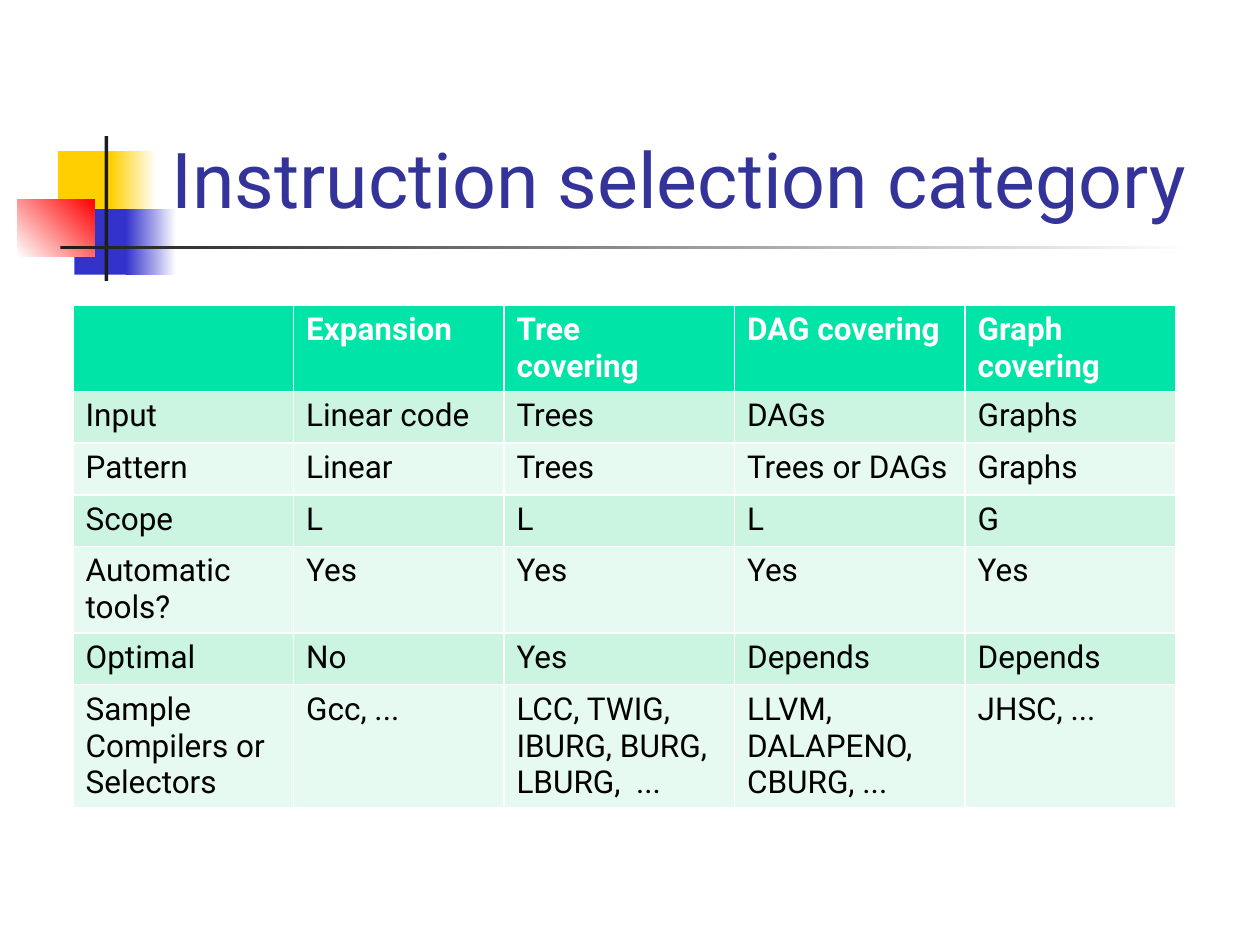
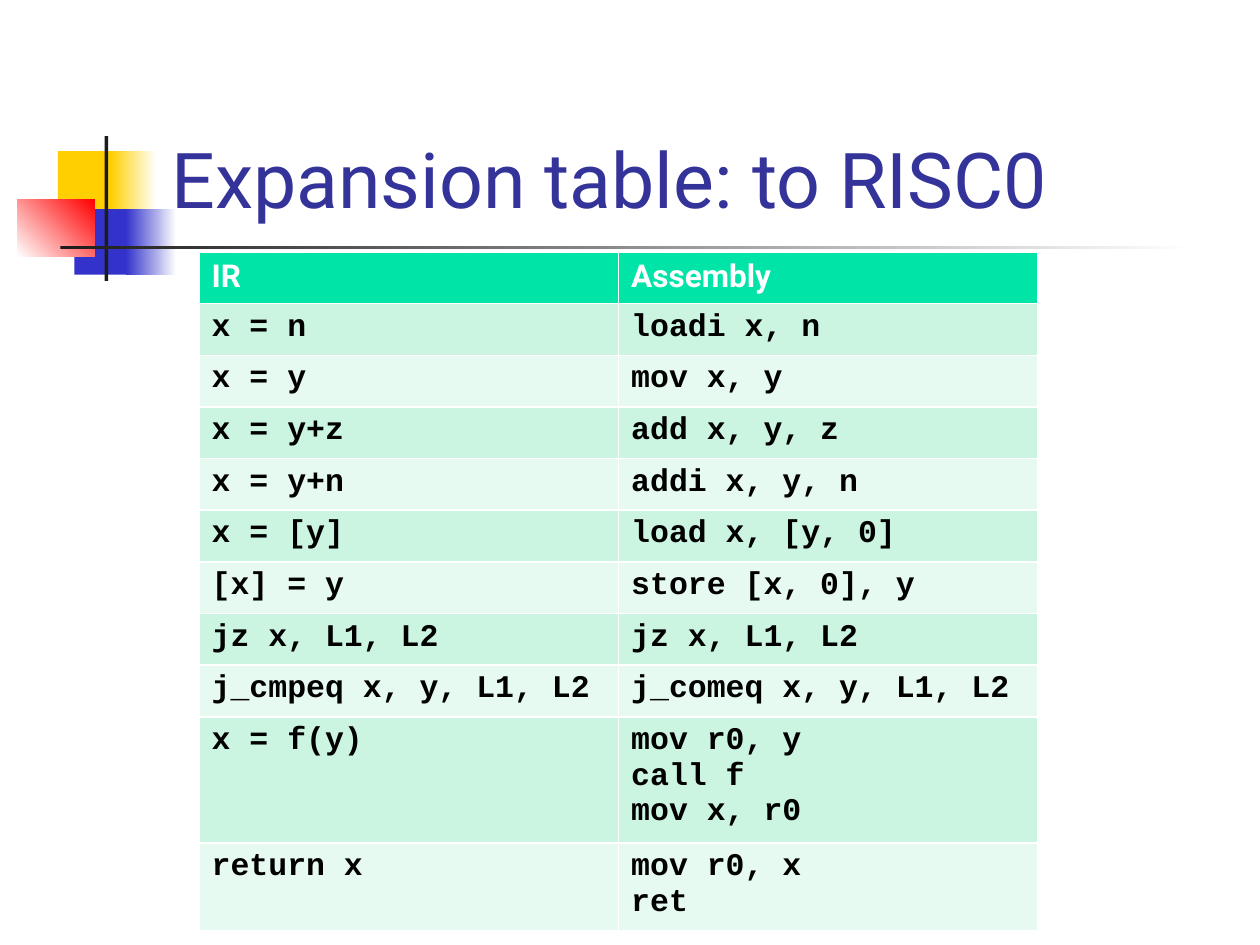
from pptx import Presentation
from pptx.dml.color import RGBColor
from pptx.enum.shapes import MSO_SHAPE as SHAPE
from pptx.enum.text import MSO_ANCHOR as ANCHOR, MSO_AUTO_SIZE as AUTO_SIZE, PP_ALIGN as ALIGN
from pptx.util import Inches, Pt

COLORS = {
    "white": "FFFFFF", "black": "000000", "ink": "1C1C1C", "title": "333399",
    "yellow": "FFCF01", "blue": "3333CC", "red": "FF0000",
    "header": "00E4A8", "odd_row": "CBF5E1", "even_row": "E7FAF1",
}
SANS, MONO = "Roboto", "Courier New"
ROW_HEIGHT = 0.41

# Box, then one colour for a solid or two for a gradient, and the gradient angle
DECORATION = [
    ((0.46, 1.2, 0.48, 0.52), ["yellow"], 0),
    ((0.88, 1.2, 0.36, 0.52), ["yellow", "white"], 0),
    ((0.59, 1.66, 0.46, 0.52), ["blue"], 0),
    ((1, 1.66, 0.4, 0.52), ["blue", "white"], 0),
    ((0.14, 1.58, 0.61, 0.46), ["white", "red"], 45),
    ((0.83, 1.08, 0.03, 1.15), ["ink"], 0),
    ((0.48, 1.95, 9, 0.03), ["ink", "white"], 0),
]

CATEGORIES = [
    ["", "Expansion", "Tree\ncovering", "DAG covering", "Graph covering"],
    ["Input", "Linear code", "Trees", "DAGs", "Graphs"],
    ["Pattern", "Linear", "Trees", "Trees or DAGs", "Graphs"],
    ["Scope", "L", "L", "L", "G"],
    ["Automatic tools?", "Yes", "Yes", "Yes", "Yes"],
    ["Optimal", "No", "Yes", "Depends", "Depends"],
    ["Sample Compilers or Selectors", "Gcc, ...", "LCC, TWIG, IBURG, BURG, LBURG,  ...",
     "LLVM, DALAPENO, CBURG, ...", "JHSC, ..."],
]

EXPANSIONS = [
    ["IR", "Assembly"],
    ["x = n", "loadi x, n"],
    ["x = y", "mov x, y"],
    ["x = y+z", "add x, y, z"],
    ["x = y+n", "addi x, y, n"],
    ["x = [y]", "load x, [y, 0]"],
    ["[x] = y", "store [x, 0], y"],
    ["jz x, L1, L2", "jz x, L1, L2"],
    ["j_cmpeq x, y, L1, L2", "j_comeq x, y, L1, L2"],
    ["x = f(y)", "mov r0, y\ncall f\nmov x, r0"],
    ["return x", "mov r0, x\nret"],
]


def rgb(name):
    return RGBColor.from_string(COLORS[name])


def set_font(p, size, color, name=SANS, bold=False):
    p.font.size, p.font.name, p.font.bold = Pt(size), name, bold
    p.font.color.rgb = rgb(color)


def add_decoration(slide):
    for box, colors, angle in DECORATION:
        sp = slide.shapes.add_shape(SHAPE.RECTANGLE, *map(Inches, box))
        sp.shadow.inherit = False
        sp.line.fill.background()
        if len(colors) == 1:
            sp.fill.solid()
            sp.fill.fore_color.rgb = rgb(colors[0])
            continue
        sp.fill.gradient()
        sp.fill.gradient_angle = angle
        for stop, color, position in zip(sp.fill.gradient_stops, colors, (0, 1)):
            stop.color.rgb = rgb(color)
            stop.position = position


def place_title(slide, text, box):
    """Fill the title placeholder and bring it in front of the decoration."""
    title = slide.shapes.title
    title.left, title.top, title.width, title.height = map(Inches, box)
    tf = title.text_frame
    tf.text = text
    tf.word_wrap = True
    tf.auto_size = AUTO_SIZE.NONE
    tf.vertical_anchor = ANCHOR.BOTTOM
    p = tf.paragraphs[0]
    p.alignment = ALIGN.LEFT
    set_font(p, 44, "title")
    slide.shapes._spTree.append(title._element)


def add_banded_table(slide, rows, left, top, col_widths, row_heights, body_font=SANS, body_bold=False):
    box = (left, top, sum(col_widths), sum(row_heights))
    table = slide.shapes.add_table(len(rows), len(col_widths), *map(Inches, box)).table
    for col, width in zip(table.columns, col_widths):
        col.width = Inches(width)
    for r, (values, height) in enumerate(zip(rows, row_heights)):
        table.rows[r].height = Inches(height)
        fill = "header" if r == 0 else "odd_row" if r % 2 else "even_row"
        for c, value in enumerate(values):
            cell = table.cell(r, c)
            cell.fill.solid()
            cell.fill.fore_color.rgb = rgb(fill)
            cell.text_frame.text = value
            for p in cell.text_frame.paragraphs:
                if r == 0:
                    set_font(p, 18, "white", bold=True)
                else:
                    set_font(p, 18, "black", body_font, body_bold)


def add_titled_slide(prs, title):
    slide = prs.slides.add_slide(prs.slide_layouts.get_by_name("Title Only"))
    add_decoration(slide)
    place_title(slide, title, (1.26, 0.23, 8.52, 1.6))
    return slide


def main():
    prs = Presentation()
    prs.slide_width, prs.slide_height = Inches(10), Inches(7.5)

    slide = add_titled_slide(prs, "Instruction selection category")
    add_banded_table(slide, CATEGORIES, 0.58, 2.42, [1.75, 1.67, 1.83, 1.83, 1.67],
                     [ROW_HEIGHT] * len(CATEGORIES))

    slide = add_titled_slide(prs, "Expansion table: to RISC0")
    add_banded_table(slide, EXPANSIONS, 1.58, 2, [3.33, 3.33],
                     [ROW_HEIGHT] * (len(EXPANSIONS) - 2) + [1, 0.7], MONO, True)

    prs.save("out.pptx")


if __name__ == "__main__":
    main()
